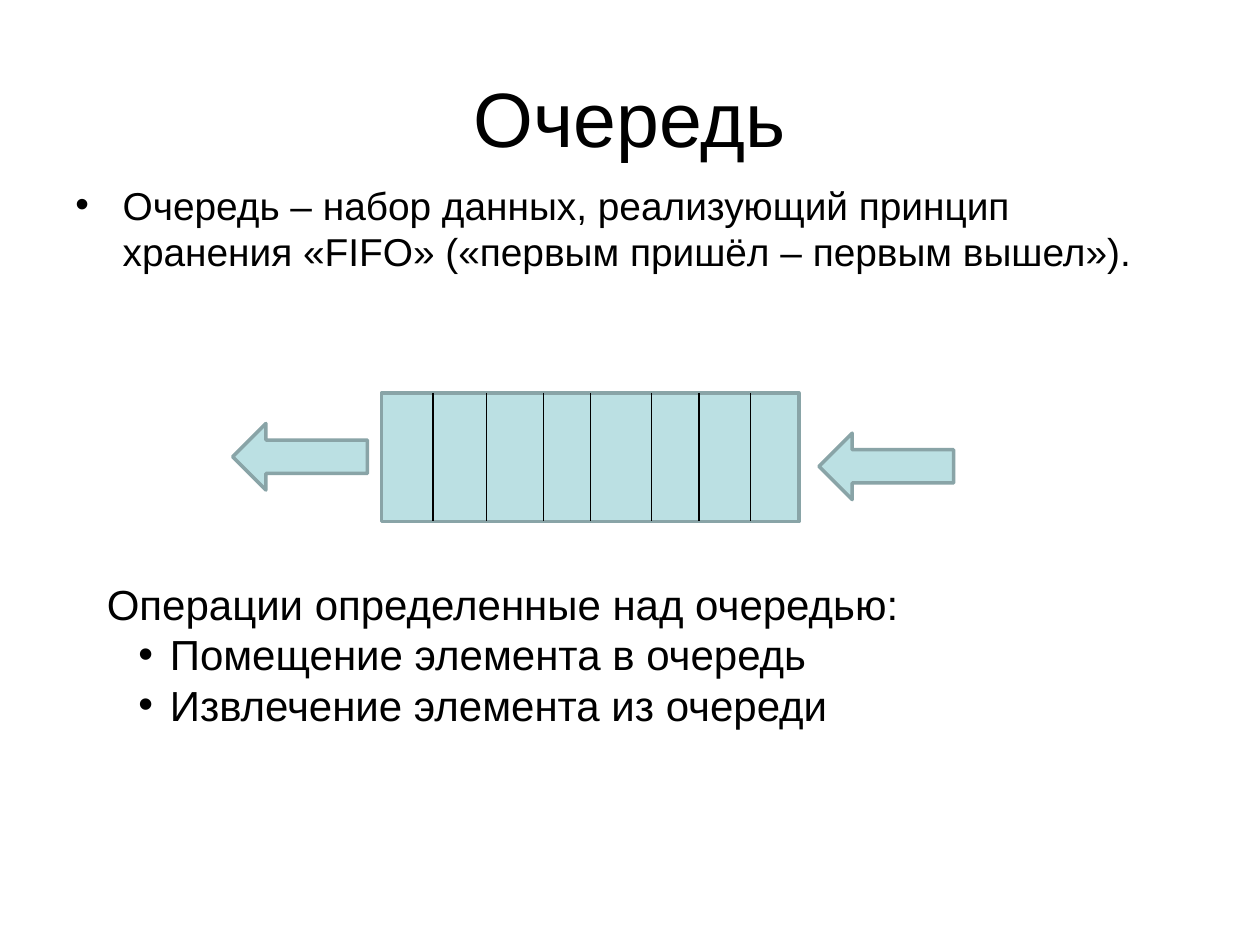
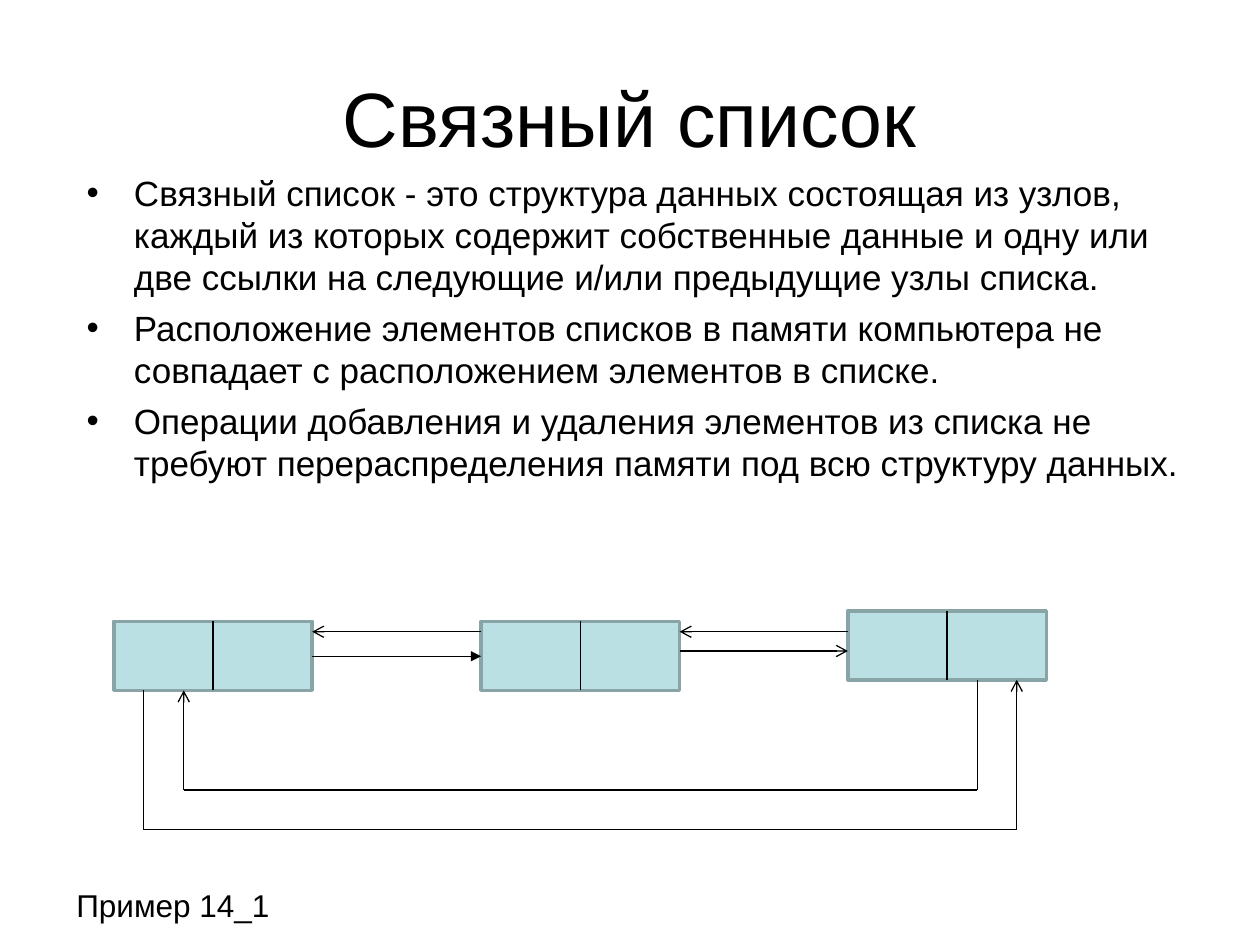
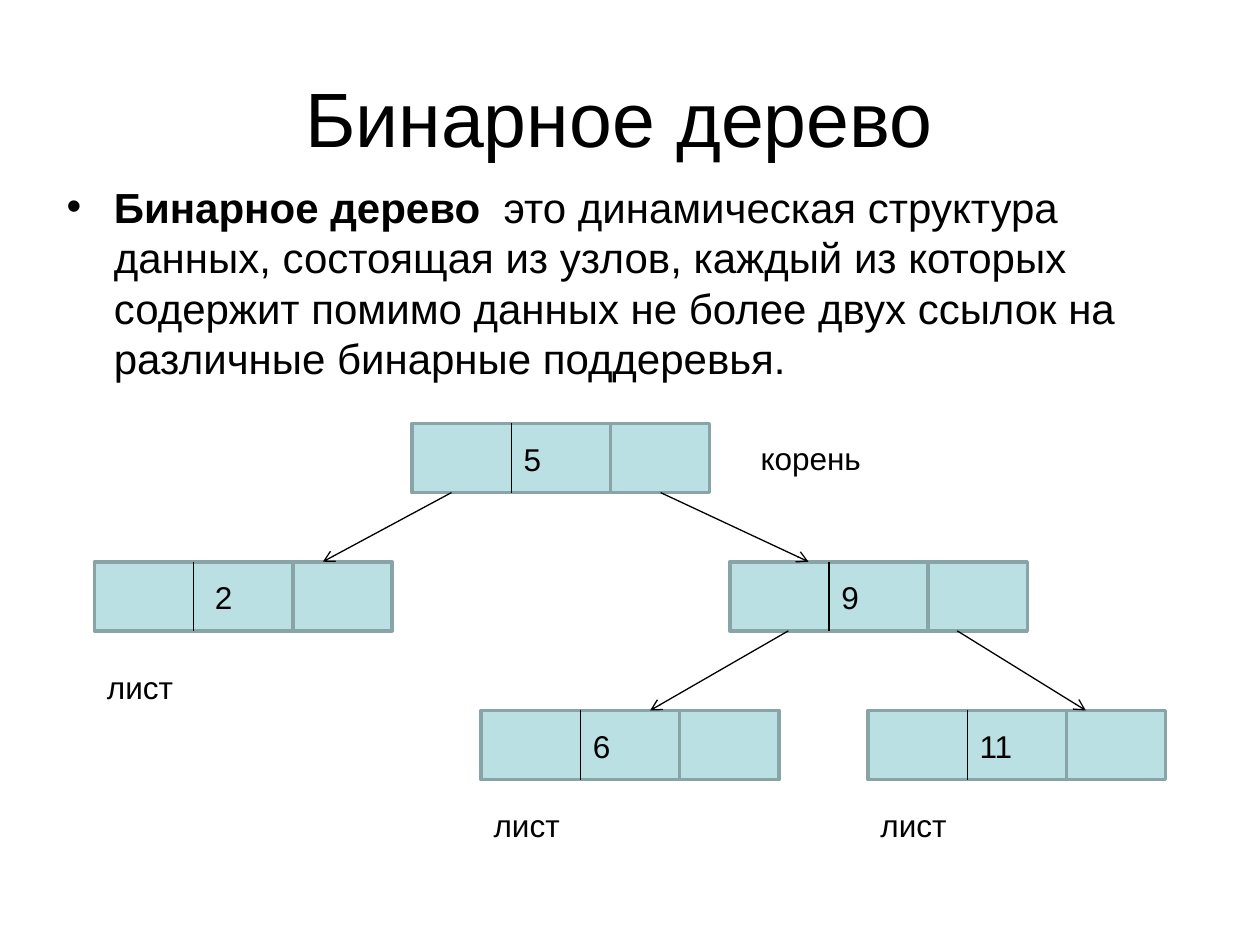
from lxml import etree
from pptx import Presentation
from pptx.dml.color import RGBColor
from pptx.enum import shapes as kinds, text as styles
from pptx.oxml.ns import qn
from pptx.util import Pt

FONT = "Arial"
INK, CELL_FILL, CELL_EDGE = "000000", "BBE0E3", "89A4A7"
CELL_W, CELL_H = 56.7, 39.5
TITLE_BOX = (36, 21.6, 648, 90)
RECT = kinds.MSO_SHAPE.RECTANGLE
LEFT_ARROW = kinds.MSO_SHAPE.LEFT_ARROW


def color(target, value):
    target.rgb = RGBColor.from_string(value)


def points(*lengths):
    return [Pt(length) for length in lengths]


def add_bullet(paragraph, margin, hanging):
    props = paragraph._p.get_or_add_pPr()
    props.set("marL", str(Pt(margin)))
    props.set("indent", str(-Pt(hanging)))
    etree.SubElement(props, qn("a:buFont")).set("typeface", FONT)
    etree.SubElement(props, qn("a:buChar")).set("char", "•")


def write(paragraph, words, size=18, bold=False, align=styles.PP_ALIGN.LEFT,
          before=0, bullet=None):
    """Append a run; bullet is (left margin, hanging indent)."""
    paragraph.alignment = align
    paragraph.space_before = Pt(before)
    if bullet:
        add_bullet(paragraph, *bullet)
    run = paragraph.add_run()
    run.text = words
    run.font.name, run.font.size, run.font.bold = FONT, Pt(size), bold
    color(run.font.color, INK)


def add_text_frame(slide, left, top, width, height):
    frame = slide.shapes.add_textbox(*points(left, top, width, height)).text_frame
    frame.word_wrap = True
    return frame


def add_label(slide, words, left, top, width=142):
    write(add_text_frame(slide, left, top, width, 28.8).paragraphs[0], words)


def add_bullets(slide, items, box, size, before):
    frame = add_text_frame(slide, *box)
    for index, item in enumerate(items):
        paragraph = frame.add_paragraph() if index else frame.paragraphs[0]
        write(paragraph, item, size=size, before=before, bullet=(27, 27))


def add_titled_slide(deck, heading):
    slide = deck.slides.add_slide(deck.slide_layouts[5])
    title = slide.shapes.title
    title.left, title.top, title.width, title.height = points(*TITLE_BOX)
    title.text_frame.vertical_anchor = styles.MSO_ANCHOR.MIDDLE
    write(title.text_frame.paragraphs[0], heading, size=44,
          align=styles.PP_ALIGN.CENTER)
    return slide


def add_block(slide, left, top, width, height, preset=RECT):
    block = slide.shapes.add_shape(preset, *points(left, top, width, height))
    block.shadow.inherit = False
    block.fill.solid()
    color(block.fill.fore_color, CELL_FILL)
    color(block.line.color, CELL_EDGE)
    block.line.width = Pt(2)


def add_line(slide, start, end, head=None):
    """Draw a thin line, with an optional arrowhead type at its end."""
    line = slide.shapes.add_connector(
        kinds.MSO_CONNECTOR.STRAIGHT, *points(*start, *end))
    color(line.line.color, INK)
    line.line.width = Pt(0.75)
    if head:
        etree.SubElement(line.line._get_or_add_ln(), qn("a:tailEnd")).set("type", head)
    etree.SubElement(line._element.spPr, qn("a:effectLst"))


def add_path(slide, corners, head=None):
    """Join corners with lines; the last one carries the arrowhead."""
    legs = list(zip(corners, corners[1:]))
    for start, end in legs:
        add_line(slide, start, end, head if (start, end) == legs[-1] else None)


def add_list_node(slide, left, top):
    """Draw a two-cell node: a block split by a thin line."""
    add_block(slide, left, top, 2 * CELL_W, CELL_H)
    add_line(slide, (left + CELL_W, top), (left + CELL_W, top + CELL_H))


def add_tree_node(slide, value, left, top, nudge=0):
    add_list_node(slide, left, top)
    add_block(slide, left + 2 * CELL_W, top, CELL_W, CELL_H)
    add_label(slide, value, left + CELL_W + nudge, top + 6, width=CELL_W)


def build_queue(deck):
    slide = add_titled_slide(deck, "Очередь")
    add_bullets(slide, ["Очередь – набор данных, реализующий принцип хранения "
                        "«FIFO» («первым пришёл – первым вышел»)."],
                (36, 100, 648, 73.5), size=22.2, before=6)
    top, height = 224.5, 73.5
    add_block(slide, 218, top, 238.5, height)
    for divider in (247.5, 278, 310.5, 337.5, 372.5, 399.5, 429):
        add_line(slide, (divider, top), (divider, top + height))
    for left, arrow_top in ((468, 247.5), (133, 242)):
        add_block(slide, left, arrow_top, 77, 38, LEFT_ARROW)

    operations = add_text_frame(slide, 54, 327, 618, 122)
    write(operations.paragraphs[0], "Операции определенные над очередью:", size=24)
    for operation in ("Помещение элемента в очередь", "Извлечение элемента из очереди"):
        write(operations.add_paragraph(), operation, size=24, bullet=(36, 18))


def build_linked_list(deck):
    slide = add_titled_slide(deck, "Связный список")
    add_bullets(slide, [
        "Связный список - это структура данных состоящая из узлов, каждый из которых "
        "содержит собственные данные и одну или две ссылки на следующие и/или "
        "предыдущие узлы списка.",
        "Расположение элементов списков в памяти компьютера не совпадает с "
        "расположением элементов в списке.",
        "Операции добавления и удаления элементов из списка не требуют "
        "перераспределения памяти под всю структуру данных.",
    ], (42.5, 94.5, 648, 206.5), size=20, before=5)

    first, middle, last = (65, 355), (275, 355), (484.5, 349)
    for node in (first, middle, last):
        add_list_node(slide, *node)
    for (left, _), (right, _), next_y, head in (
            (first, middle, 375, "triangle"), (middle, last, 372, "arrow")):
        gap_start = left + 2 * CELL_W
        add_line(slide, (gap_start, next_y), (right, next_y), head)
        add_line(slide, (right, 361), (gap_start, 361), "arrow")

    first_bottom, last_bottom = first[1] + CELL_H, last[1] + CELL_H
    add_path(slide, [(82, first_bottom), (82, 474), (581, 474), (581, last_bottom)],
             "arrow")
    add_path(slide, [(558.5, last_bottom), (558.5, 451.5), (105, 451.5),
                     (105, first_bottom)], "arrow")
    add_label(slide, "Пример 14_1", 36.5, 502.5, width=170)


def build_binary_tree(deck):
    slide = add_titled_slide(deck, "Бинарное дерево ")
    definition = add_text_frame(slide, 31, 100, 648, 126.5).paragraphs[0]
    write(definition, "Бинарное дерево", size=24, bold=True, before=6, bullet=(27, 27))
    write(definition, "  это динамическая структура данных, состоящая из узлов, каждый "
          "из которых содержит помимо данных не более двух ссылок на различные "
          "бинарные поддеревья.", size=24, before=6)

    root_y, child_y, leaf_y = 242, 321, 406
    add_tree_node(slide, "5", 235.5, root_y)
    add_tree_node(slide, "2", 54, child_y, nudge=5)
    add_tree_node(slide, "9", 417, child_y)
    add_tree_node(slide, "6", 275, leaf_y)
    add_tree_node(slide, "11", 496, leaf_y)

    for parent_x, parent_y, child_x, target_y in (
            (258, root_y, 184.5, child_y), (377.5, root_y, 462, child_y),
            (450.5, child_y, 371.5, leaf_y), (547, child_y, 620.5, leaf_y)):
        add_line(slide, (parent_x, parent_y + CELL_H), (child_x, target_y), "arrow")

    add_label(slide, "корень", 427.5, 247.5)
    for left, top in ((54, 378), (275, 457), (496, 457)):
        add_label(slide, "лист", left, top)


def main():
    deck = Presentation()
    deck.slide_width, deck.slide_height = points(720, 540)
    build_queue(deck)
    build_linked_list(deck)
    build_binary_tree(deck)
    deck.save("out.pptx")


if __name__ == "__main__":
    main()
